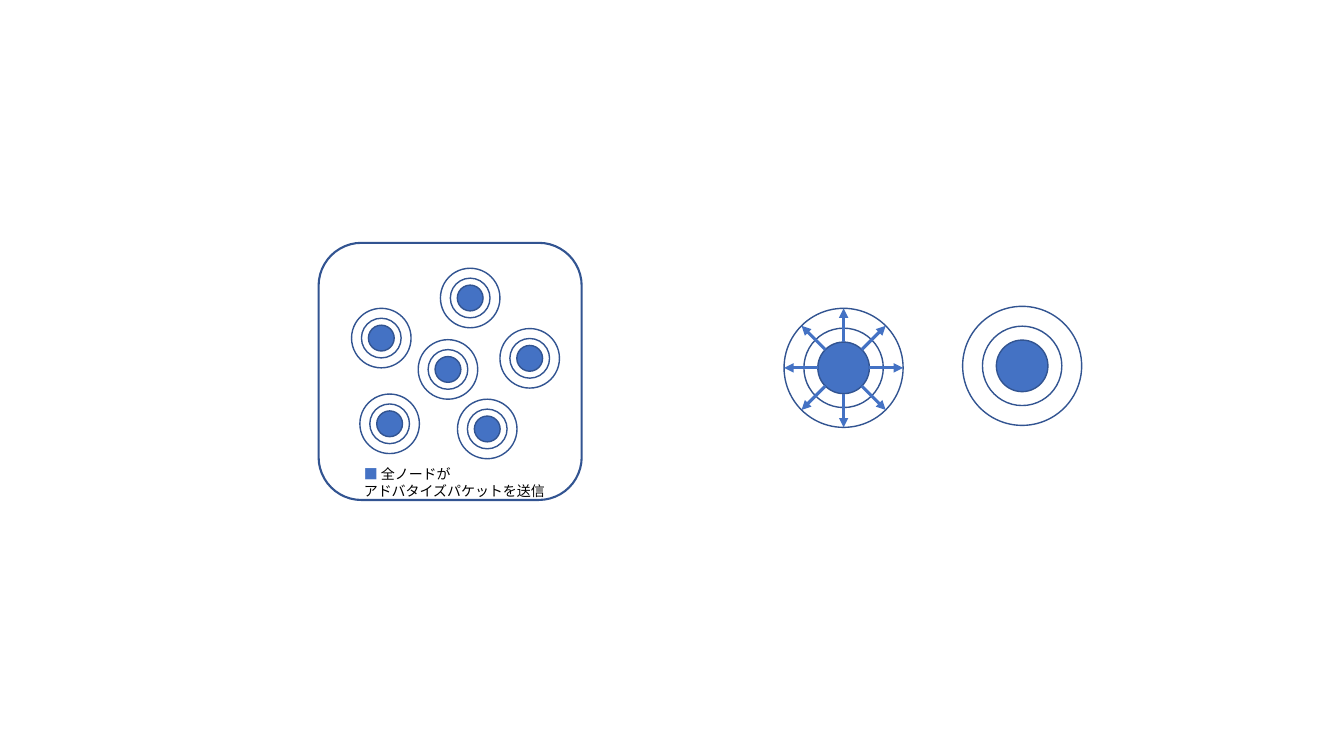
import math
from dataclasses import dataclass

from lxml import etree
from pptx import Presentation, util as u
from pptx.dml.color import RGBColor
from pptx.enum import shapes, text
from pptx.oxml.ns import qn


@dataclass(frozen=True)
class Theme:
    blue: RGBColor = RGBColor(0x44, 0x72, 0xC4)
    outline: RGBColor = RGBColor(0x32, 0x54, 0x91)
    black: RGBColor = RGBColor(0, 0, 0)
    font: str = "Noto Sans CJK JP"
    text_size: float = 10
    ring_line: float = 1
    frame_line: float = 1.5
    arrow_line: float = 2.25


class Diagram:
    """Draws on one slide; all lengths are centimetres."""

    def __init__(self, slide, theme):
        self.slide = slide
        self.theme = theme

    def group(self):
        return self.slide.shapes.add_group_shape()

    def outlined(self, group, kind, left, top, width, height, weight, fill=None):
        shape = group.shapes.add_shape(
            kind, u.Cm(left), u.Cm(top), u.Cm(width), u.Cm(height))
        shape.shadow.inherit = False
        if fill is None:
            shape.fill.background()
        else:
            shape.fill.solid()
            shape.fill.fore_color.rgb = fill
        shape.line.color.rgb = self.theme.outline
        shape.line.width = u.Pt(weight)

    def circle(self, group, x, y, diameter, fill=None):
        self.outlined(group, shapes.MSO_SHAPE.OVAL, x - diameter / 2, y - diameter / 2,
                      diameter, diameter, self.theme.ring_line, fill)

    def node(self, group, x, y, core, inner, outer):
        self.circle(group, x, y, core, self.theme.blue)
        self.circle(group, x, y, inner)
        self.circle(group, x, y, outer)

    def arrow(self, group, x1, y1, x2, y2):
        connector = group.shapes.add_connector(
            shapes.MSO_CONNECTOR.STRAIGHT, u.Cm(x1), u.Cm(y1), u.Cm(x2), u.Cm(y2))
        connector.line.color.rgb = self.theme.blue
        connector.line.width = u.Pt(self.theme.arrow_line)
        properties = connector._element.spPr
        line = properties.find(qn("a:ln"))
        etree.SubElement(line, qn("a:tailEnd"), type="triangle")
        etree.SubElement(properties, qn("a:effectLst"))

    def arrows(self, group, x, y, core, outer, count=8):
        for step in range(count):
            angle = 2 * math.pi * step / count
            across, down = math.cos(angle), math.sin(angle)
            self.arrow(group, x + across * core / 2, y + down * core / 2,
                       x + across * outer / 2, y + down * outer / 2)

    def run(self, paragraph, words, color):
        run = paragraph.add_run()
        run.text = words
        run.font.size = u.Pt(self.theme.text_size)
        run.font.name = self.theme.font
        run.font.color.rgb = color
        latin = run.font._element.find(qn("a:latin"))
        east_asian = etree.Element(qn("a:ea"), typeface=self.theme.font)
        latin.addnext(east_asian)

    def caption(self, group, left, top, width, height, lines):
        box = group.shapes.add_textbox(
            u.Cm(left), u.Cm(top), u.Cm(width), u.Cm(height))
        frame = box.text_frame
        frame.word_wrap = True
        frame.auto_size = text.MSO_AUTO_SIZE.SHAPE_TO_FIT_TEXT
        paragraph = frame.paragraphs[0]
        for index, runs in enumerate(lines):
            if index:
                paragraph.add_line_break()
            for words, color in runs:
                self.run(paragraph, words, color)


LARGE = (1.3, 2, 3)  # core, inner ring and outer ring diameters
SMALL = tuple(diameter / 2 for diameter in LARGE)
NETWORK_NODES = [(9.82, 10.68), (11.29, 9.31), (12.28, 10.81),
                 (13.35, 9.03), (9.61, 8.52), (11.85, 7.51)]

presentation = Presentation()
presentation.slide_width = u.Cm(33.87)
presentation.slide_height = u.Cm(19.05)
slide = presentation.slides.add_slide(presentation.slide_layouts[6])
theme = Theme()
diagram = Diagram(slide, theme)

# Node sending in all directions
sender = diagram.group()
diagram.node(sender, 21.26, 9.27, *LARGE)
diagram.arrows(sender, 21.26, 9.27, LARGE[0], LARGE[-1])

# Node without arrows
diagram.node(diagram.group(), 25.76, 9.22, *LARGE)

# Framed network with its caption
network = diagram.group()
diagram.caption(network, 8.92, 11.61, 5.13, 1.12, [
    [("■", theme.blue), (" 全ノードが", theme.black)],
    [("アドバタイズパケットを送信", theme.black)],
])
for x, y in NETWORK_NODES:
    diagram.node(network, x, y, *SMALL)
diagram.outlined(network, shapes.MSO_SHAPE.ROUNDED_RECTANGLE,
                 8.03, 6.12, 6.63, 6.48, theme.frame_line)

presentation.save("out.pptx")
